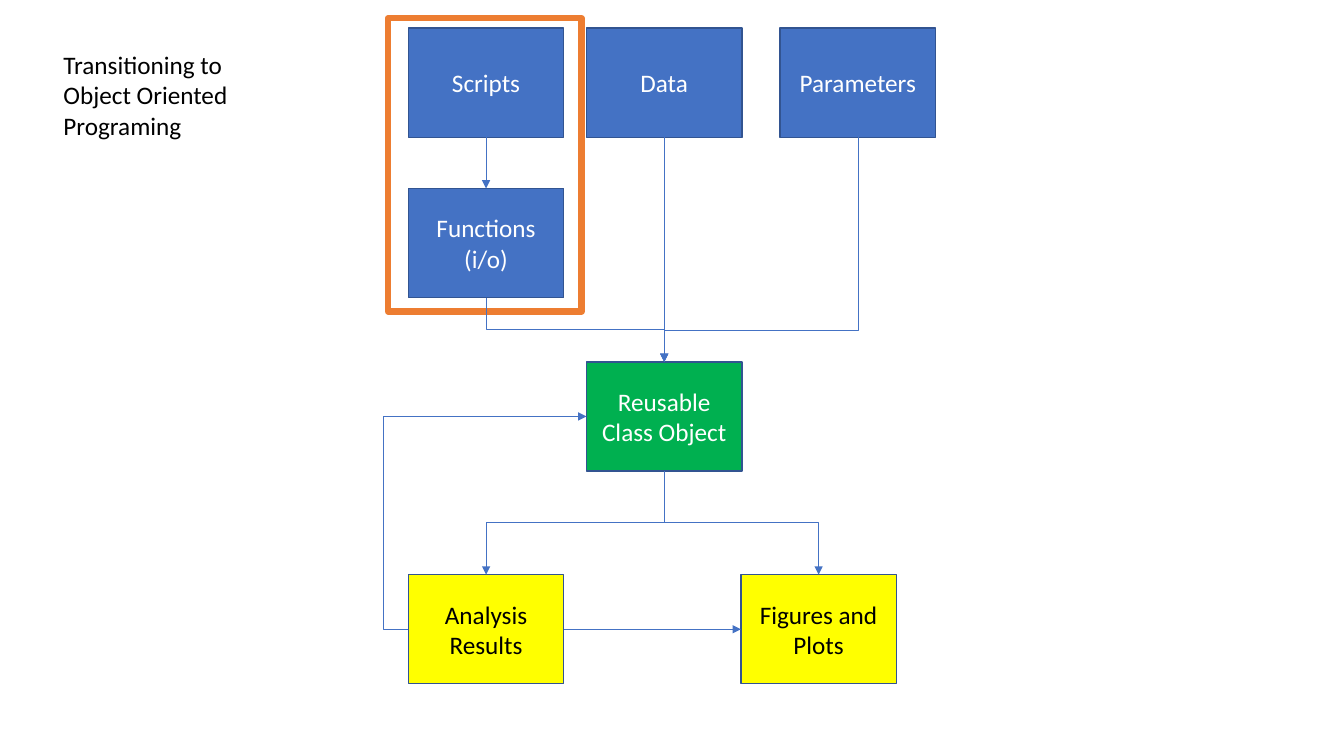
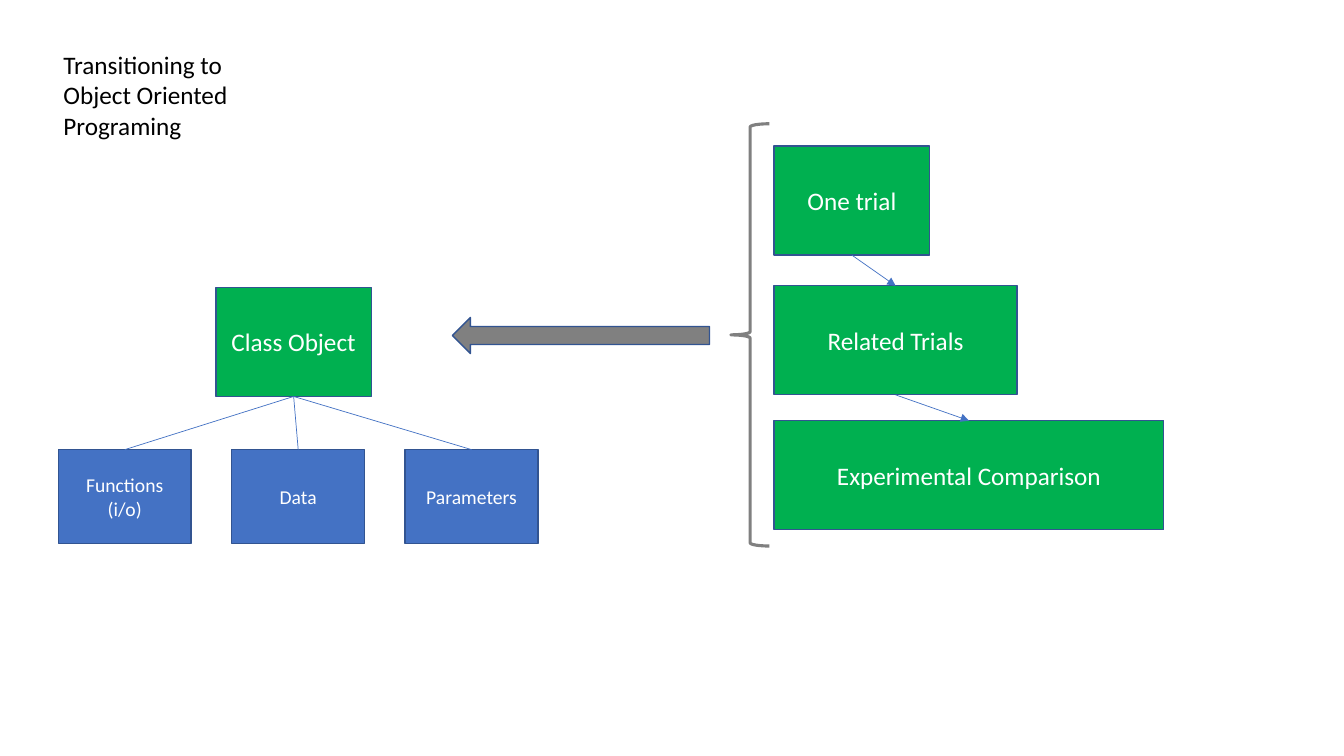
import dataclasses
import lxml.etree
import pptx
import pptx.dml.color
import pptx.enum.shapes
import pptx.enum.text
import pptx.oxml.ns
import pptx.util

Cm, Pt = pptx.util.Cm, pptx.util.Pt
RGB = pptx.dml.color.RGBColor.from_string
qn = pptx.oxml.ns.qn
SHAPE = pptx.enum.shapes.MSO_SHAPE
CONNECTOR = pptx.enum.shapes.MSO_CONNECTOR
ALIGN = pptx.enum.text.PP_ALIGN
TOP, LEFT, BOTTOM, RIGHT = range(4)


@dataclasses.dataclass(frozen=True)
class Theme:
    font: str = "Calibri"
    blue: str = "4472C4"
    edge: str = "325491"
    green: str = "00B050"
    yellow: str = "FFFF00"
    orange: str = "ED7D31"
    gray: str = "808080"
    white: str = "FFFFFF"
    black: str = "000000"
    body: int = 18
    small: int = 14
    edge_pt: float = 1
    link_pt: float = 0.5
    brace_pt: float = 2.25
    frame_pt: float = 4.5


T = Theme()
BOX_W, BOX_H = 3.92, 2.75


def box(s, x, y, w, h, fill, text="", size=T.body, color=T.white,
        kind=SHAPE.RECTANGLE, line=T.edge, line_pt=T.edge_pt):
    sp = s.shapes.add_shape(kind, Cm(x), Cm(y), Cm(w), Cm(h))
    sp.shadow.inherit = False
    if fill:
        sp.fill.solid()
        sp.fill.fore_color.rgb = RGB(fill)
    else:
        sp.fill.background()
    sp.line.color.rgb = RGB(line)
    sp.line.width = Pt(line_pt)
    tf = sp.text_frame
    tf.vertical_anchor = pptx.enum.text.MSO_ANCHOR.MIDDLE
    for i, words in enumerate(text.split("\n") if text else []):
        p = tf.add_paragraph() if i else tf.paragraphs[0]
        p.alignment = ALIGN.CENTER
        r = p.add_run()
        r.text = words
        r.font.name, r.font.size = T.font, Pt(size)
        r.font.color.rgb = RGB(color)
    return sp


def link(s, start, start_site, end, end_site, elbow=False, bend=0.5, arrow=True):
    kind = CONNECTOR.ELBOW if elbow else CONNECTOR.STRAIGHT
    c = s.shapes.add_connector(kind, 0, 0, 0, 0)
    c.begin_connect(start, start_site)
    c.end_connect(end, end_site)
    c.line.color.rgb = RGB(T.blue)
    c.line.width = Pt(T.link_pt)
    spPr = c._element.spPr
    if elbow:
        if start_site == BOTTOM:
            to_right = c.end_x > c.begin_x
            x, y, w, h = c.left, c.top, c.width, c.height
            c.left, c.top = x + (w - h) // 2, y + (h - w) // 2
            c.width, c.height = h, w
            xfrm = spPr.find(qn("a:xfrm"))
            xfrm.set("rot", str((270 if to_right else 90) * 60000))
            xfrm.set("flipH", "1" if to_right else "0")
        av = spPr.find(qn("a:prstGeom")).find(qn("a:avLst"))
        lxml.etree.SubElement(av, qn("a:gd"), name="adj1", fmla=f"val {round(bend * 100000)}")
    if arrow:
        lxml.etree.SubElement(c.line._get_or_add_ln(), qn("a:tailEnd"), type="triangle")
    lxml.etree.SubElement(spPr, qn("a:effectLst"))


prs = pptx.Presentation()
prs.slide_width, prs.slide_height = Cm(33.87), Cm(19.05)
slides = [prs.slides.add_slide(prs.slide_layouts[6]) for _ in range(2)]
for s in slides:
    tf = s.shapes.add_textbox(Cm(1.35), Cm(1.12), Cm(5.64), Cm(2.57)).text_frame
    tf.word_wrap = True
    tf.auto_size = pptx.enum.text.MSO_AUTO_SIZE.SHAPE_TO_FIT_TEXT
    r = tf.paragraphs[0].add_run()
    r.text = "Transitioning to Object Oriented Programing"
    r.font.name, r.font.size = T.font, Pt(T.body)
    r.font.color.rgb = RGB(T.black)

flow, hierarchy = slides

box(flow, 9.78, 0.46, 4.88, 7.39, T.white, line=T.orange, line_pt=T.frame_pt)
flow_boxes = {}
for name, x, y, fill, color, text in [
    ("scripts", 10.29, 0.71, T.blue, T.white, "Scripts"),
    ("functions", 10.29, 4.75, T.blue, T.white, "Functions\n(i/o)"),
    ("reusable", 14.78, 9.12, T.green, T.white, "Reusable Class Object"),
    ("data", 14.78, 0.71, T.blue, T.white, "Data"),
    ("parameters", 19.66, 0.71, T.blue, T.white, "Parameters"),
    ("analysis", 10.29, 14.48, T.yellow, T.black, "Analysis Results"),
    ("figures", 18.67, 14.48, T.yellow, T.black, "Figures and Plots"),
]:
    flow_boxes[name] = box(flow, x, y, BOX_W, BOX_H, fill, text, color=color)

for start, start_site, end, end_site, elbow, bend in [
    ("scripts", BOTTOM, "functions", TOP, False, 0.5),
    ("functions", BOTTOM, "reusable", TOP, True, 0.5),
    ("data", BOTTOM, "reusable", TOP, False, 0.5),
    ("parameters", BOTTOM, "reusable", TOP, True, 0.86),
    ("reusable", BOTTOM, "analysis", TOP, True, 0.5),
    ("reusable", BOTTOM, "figures", TOP, True, 0.5),
    ("analysis", RIGHT, "figures", LEFT, False, 0.5),
    ("analysis", LEFT, "reusable", LEFT, True, -0.14),
]:
    link(flow, flow_boxes[start], start_site, flow_boxes[end], end_site, elbow, bend)

class_object = box(hierarchy, 5.44, 7.24, BOX_W, BOX_H, T.green, "Class Object")
for i, text in enumerate(["Functions\n(i/o)", "Data", "Parameters"]):
    part = box(hierarchy, 1.47 + 4.37 * i, 11.33, 3.35, 2.36, T.blue, text, T.small)
    link(hierarchy, class_object, BOTTOM, part, TOP, arrow=False)

previous = None
for y, w, text in [
    (3.68, BOX_W, "One trial"),
    (7.2, 6.12, "Related Trials"),
    (10.6, 9.82, "Experimental Comparison"),
]:
    level = box(hierarchy, 19.51, y, w, BOX_H, T.green, text)
    if previous:
        link(hierarchy, previous, BOTTOM, level, TOP)
    previous = level

box(hierarchy, 11.4, 8, 6.48, 0.91, T.gray, kind=SHAPE.LEFT_ARROW)
box(hierarchy, 18.42, 3.12, 0.97, 10.64, None, kind=SHAPE.LEFT_BRACE,
    line=T.gray, line_pt=T.brace_pt)

prs.save("out.pptx")
